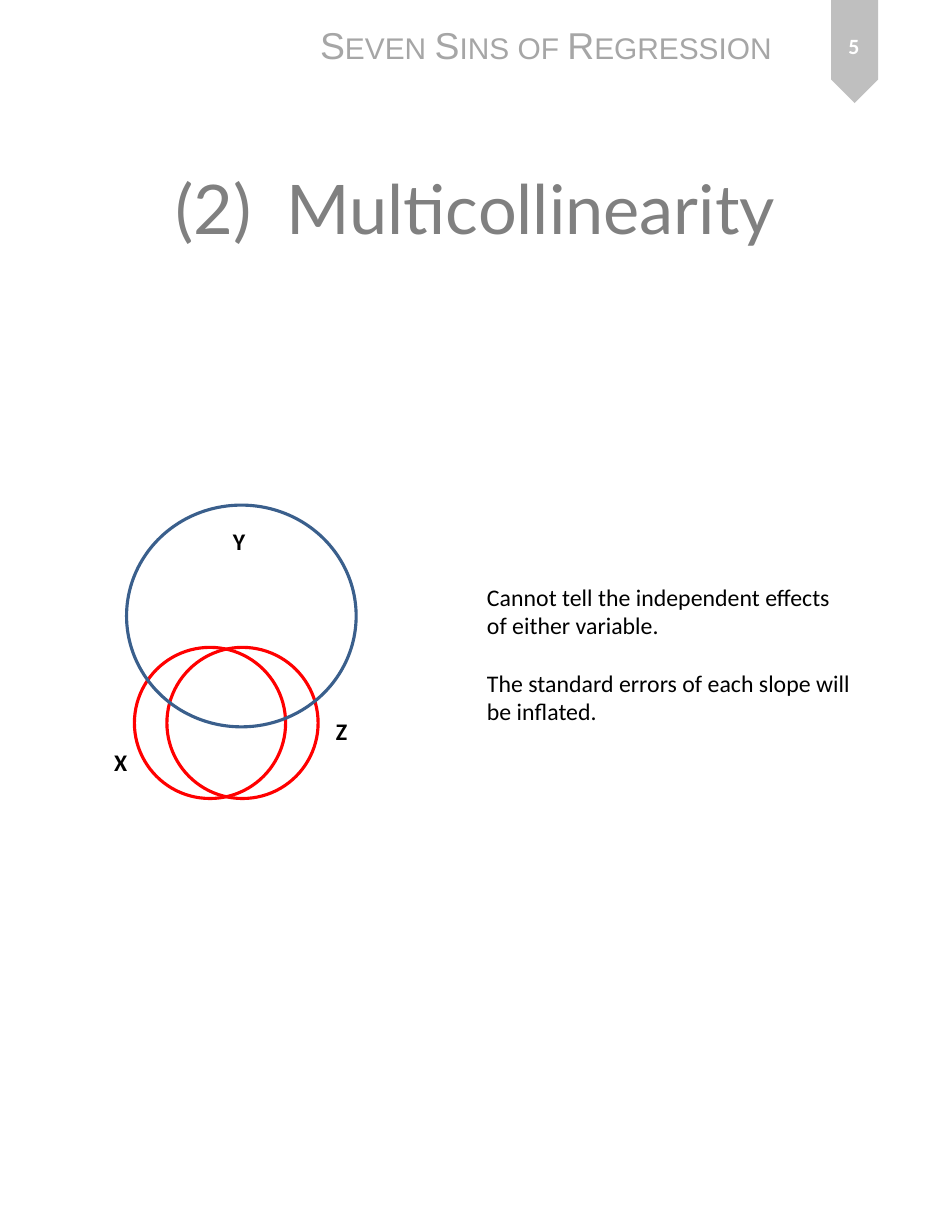
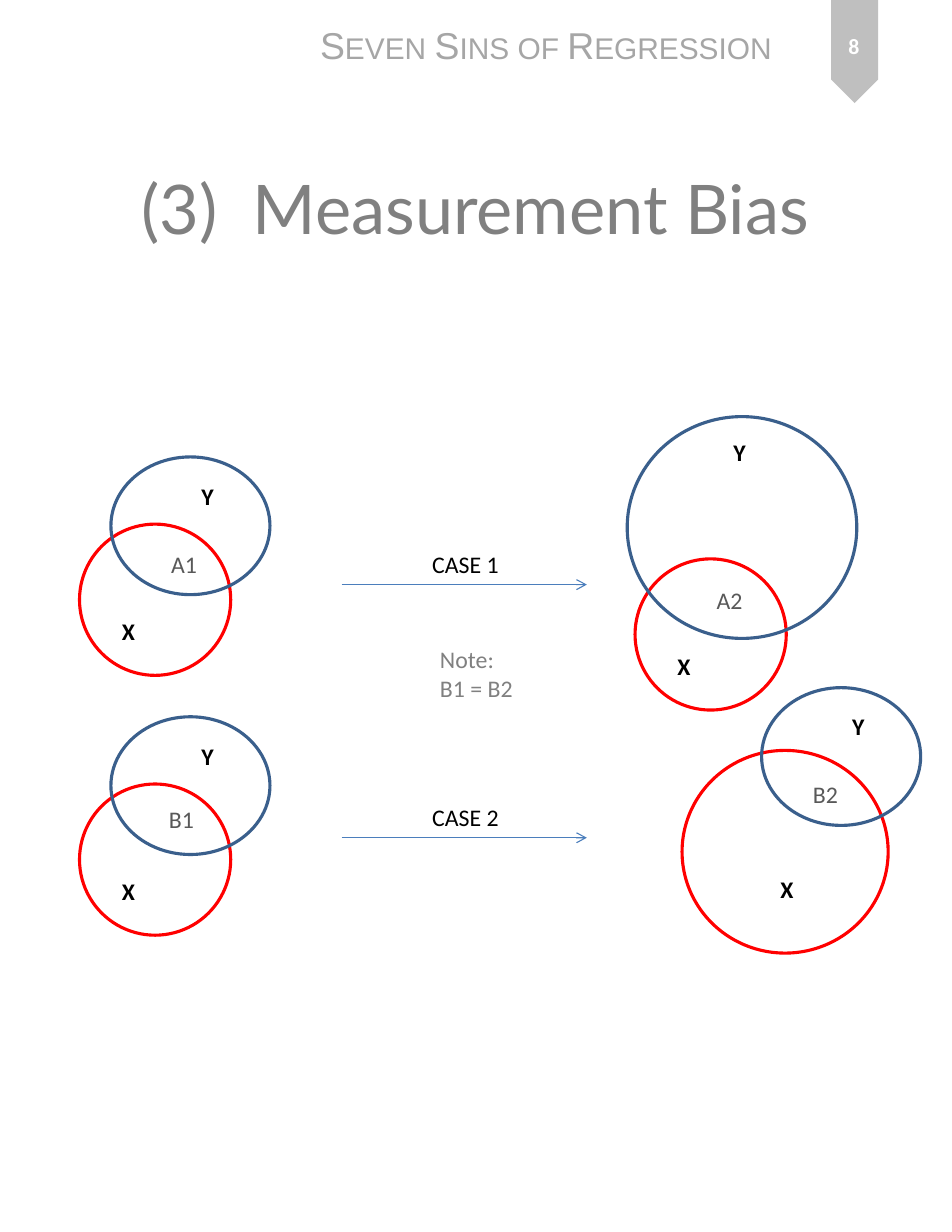
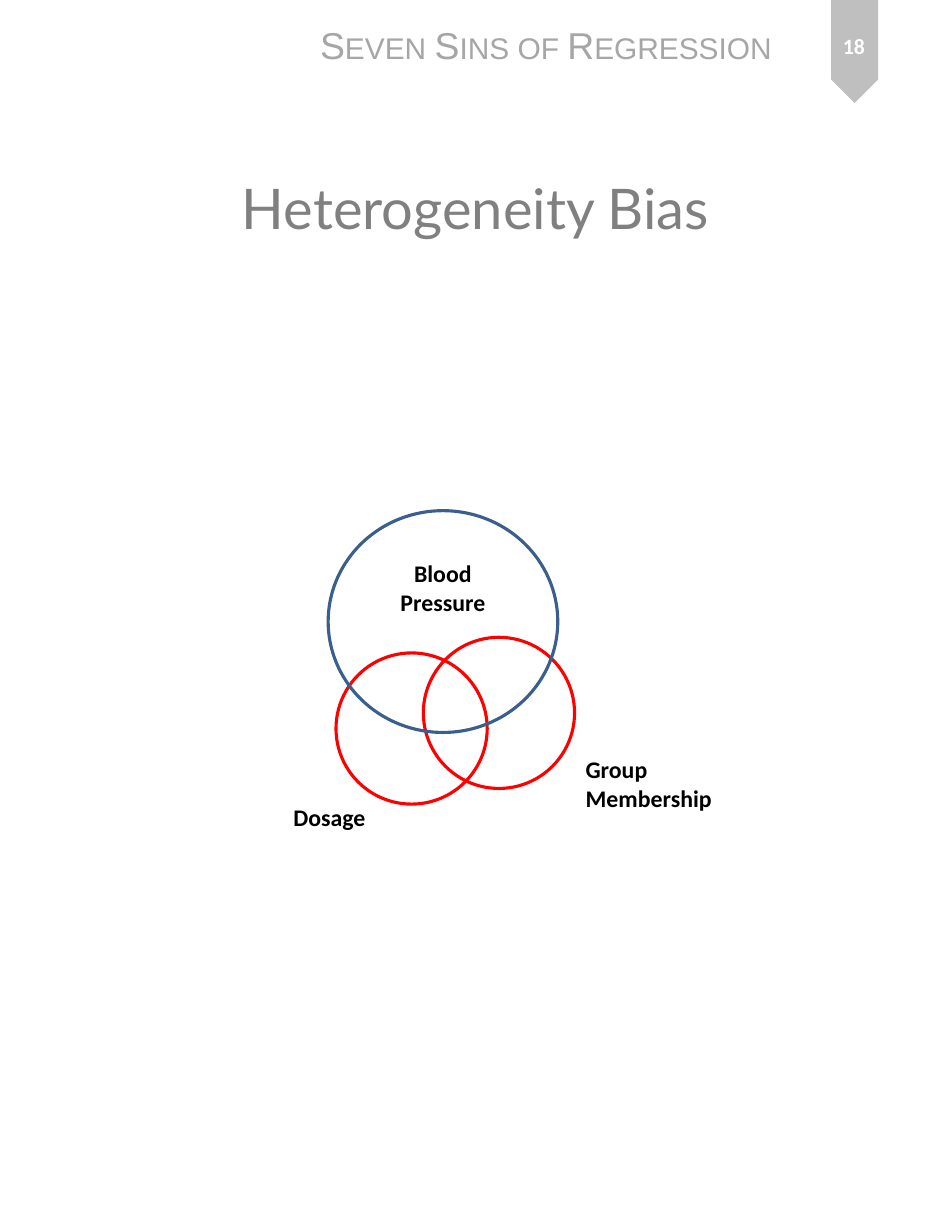
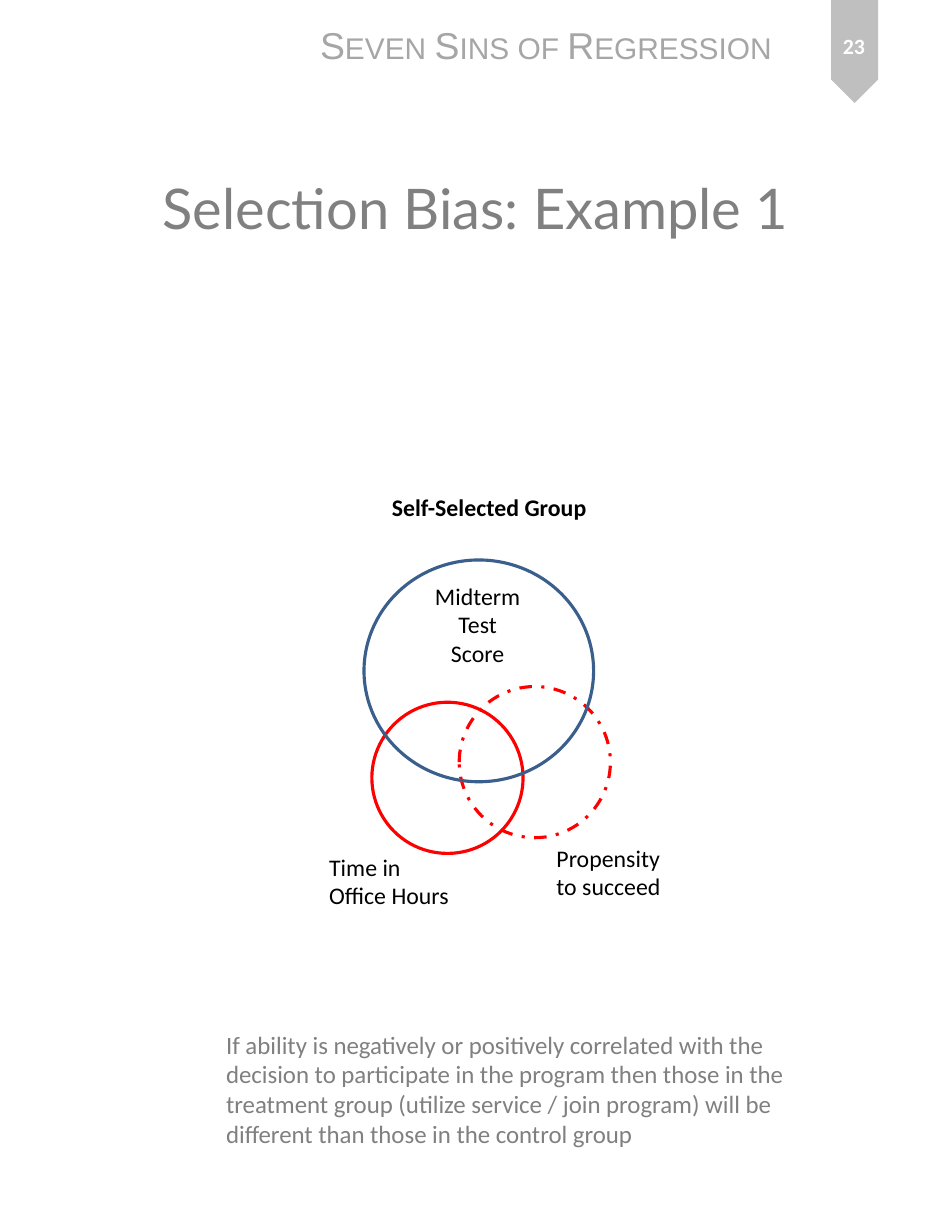
from copy import deepcopy

from lxml.etree import SubElement
from pptx import Presentation
from pptx.dml.color import RGBColor
from pptx.enum.dml import MSO_LINE
from pptx.enum.shapes import MSO_CONNECTOR, MSO_SHAPE
from pptx.enum.text import MSO_ANCHOR, MSO_AUTO_SIZE, PP_ALIGN
from pptx.oxml.ns import qn
from pptx.util import Inches, Pt

WIDE, TALL = 8.5, 11
RED, BLUE, ARROW = "FF0000", "3A5F8C", "4B7EBC"
BAND, WHITE = "BFBFBF", "FFFFFF"
LINE, PAD = 0.26, 0.1  # height of a text line, and of both insets

BODY = {"name": "Calibri", "size": 15.3, "color": "000000"}
BOLD = BODY | {"bold": True}
AREA = BODY | {"color": "595959"}
GRAY = BODY | {"color": "808080"}
NOTE = GRAY | {"size": 16}
HEAD = {"name": "Arial", "size": 24, "color": "A6A6A6"}
TITLE = {"name": "Lato", "size": 44, "color": "808080"}
SMALL = TITLE | {"size": 36}
PAGE = {"name": "Calibri", "size": 14, "color": WHITE, "bold": True}

# Circle sizes
DOT, BIG, MID, FAT = (1.35, 1.35), (2.05, 1.98), (1.42, 1.23), (1.84, 1.81)

# Red circles as (size, dx, dy, dashed), offset from the blue circle
LEFT = (DOT, 0.07, 1.27, False)
NEAR = (DOT, 0.36, 1.27, False)
SIDE = (DOT, 0.85, 1.13, False)
DASH = (DOT, 0.85, 1.13, True)
UNDER = (DOT, -0.28, 0.6, False)
LOW = (FAT, -0.71, 0.56, False)

# Labels as (paragraphs, dx, dy, width, format, centred), "\v" breaks a line
Y_BIG = (["Y"], 0.85, 0.14, 0.31, BOLD, False)
Y_MID = (["Y"], 0.71, 0.17, 0.31, BOLD, False)


def mark(text, dx, dy, style=BOLD, width=0.32):
    return [text], dx, dy, width, style, False


# Diagrams as (blue size, x, y, red circles, labels)
SLIDES = [
    {
        "page": "5", "title": "(2)  Multicollinearity", "style": TITLE,
        "venns": [(BIG, 1.13, 4.51, [LEFT, NEAR], [
            Y_BIG, mark("Z", 1.77, 1.84), mark("X", -0.21, 2.12)])],
        "texts": [([
            "Cannot tell the independent effects\vof either variable.",
            "The standard errors of each slope will\vbe inflated."],
            4.25, 5.15, 3.47, BODY, False)],
        "gap": 18.7,
    },
    {
        "page": "8", "title": "(3)  Measurement Bias", "style": TITLE,
        "venns": [
            (BIG, 5.6, 3.72, [LEFT], [
                Y_BIG, mark("X", 0.35, 2.05), mark("A2", 0.7, 1.46, AREA, 0.44)]),
            (MID, 0.99, 4.08, [UNDER], [
                Y_MID, mark("X", 0, 1.38), mark("A1", 0.44, 0.78, AREA, 0.44)]),
            (MID, 0.99, 6.4, [UNDER], [
                Y_MID, mark("X", 0, 1.38), mark("B1", 0.42, 0.74, AREA, 0.43)]),
            (MID, 6.8, 6.14, [LOW], [
                Y_MID, mark("X", 0.07, 1.62), mark("B2", 0.36, 0.77, AREA, 0.43)]),
        ],
        "arrows": [("CASE 1", 5.22), ("CASE 2", 7.48)],
        "texts": [(["Note:", "B1 = B2"], 3.83, 5.71, 0.86, GRAY, False)],
    },
    {
        "page": "18", "title": "Heterogeneity Bias", "style": SMALL,
        "venns": [(BIG, 2.93, 4.56, [LEFT, SIDE], [
            (["Blood\vPressure"], 0.54, 0.38, 0.97, BOLD, True),
            mark("Group\vMembership", 2.2, 2.13, BOLD, 1.34),
            mark("Dosage", -0.41, 2.56, BOLD, 0.85)])],
    },
    {
        "page": "23", "title": "Selection Bias: Example 1", "style": SMALL,
        "venns": [(BIG, 3.25, 5, [LEFT, DASH], [
            (["Midterm", "Test", "Score"], 0.53, 0.14, 0.97, BODY, True),
            mark("Propensity\vto succeed", 1.62, 2.48, BODY, 1.15),
            mark("Time in\vOffice Hours", -0.41, 2.56, BODY, 1.28),
            mark("Self-Selected Group", 0.15, -0.65, BOLD, 1.96)])],
        "note": "If ability is negatively or positively correlated with the "
                "decision to participate in the program then those in the "
                "treatment group (utilize service / join program) will be "
                "different than those in the control group",
    },
]


def paint(item, color):
    """Give a fill, or the colour of a line or font, a hex colour."""
    item.rgb = RGBColor.from_string(color)


def style_runs(para, style):
    for run in para.runs:
        for key, value in style.items():
            if key == "color":
                paint(run.font.color, value)
            else:
                setattr(run.font, key, Pt(value) if key == "size" else value)
    for br in para._p.findall(qn("a:br")):
        br.append(deepcopy(para.runs[0]._r.rPr))


def write(slide, paras, box, style, center=False, wrap=False, middle=False, gap=0):
    shape = slide.shapes.add_textbox(*map(Inches, box))
    frame = shape.text_frame
    frame.word_wrap = wrap
    if middle:
        frame.vertical_anchor = MSO_ANCHOR.MIDDLE
    else:
        frame.auto_size = MSO_AUTO_SIZE.SHAPE_TO_FIT_TEXT
    for i, text in enumerate(paras):
        para = frame.add_paragraph() if i else frame.paragraphs[0]
        para.text = text
        para.alignment = PP_ALIGN.CENTER if center else PP_ALIGN.LEFT
        if i and gap:
            para.space_before = Pt(gap)
        style_runs(para, style)
    return frame


def label(slide, item, x=0, y=0, gap=0):
    paras, dx, dy, width, style, center = item
    lines = sum(1 + p.count("\v") for p in paras) + (1 if gap else 0)
    box = x + dx, y + dy, width, lines * LINE + PAD
    write(slide, paras, box, style, center, gap=gap)


def circle(slide, size, x, y, color, dashed=False):
    ring = slide.shapes.add_shape(MSO_SHAPE.OVAL, *map(Inches, (x, y, *size)))
    ring.shadow.inherit = False
    ring.fill.background()
    ring.line.width = Pt(2)
    paint(ring.line.color, color)
    if dashed:
        ring.line.dash_style = MSO_LINE.DASH_DOT


def venn(slide, size, x, y, reds, labels):
    for red, dx, dy, dashed in reds:
        circle(slide, red, x + dx, y + dy, RED, dashed)
    circle(slide, size, x, y, BLUE)
    for item in labels:
        label(slide, item, x, y)


def arrow(slide, text, y):
    line = slide.shapes.add_connector(
        MSO_CONNECTOR.STRAIGHT, *map(Inches, (3.05, y, 5.24, y)))
    line.line.width = Pt(0.75)
    paint(line.line.color, ARROW)
    SubElement(line.line._get_or_add_ln(), qn("a:tailEnd"), type="arrow")
    SubElement(line._element.spPr, qn("a:effectLst"))
    label(slide, mark(text, 3.76, y - 0.36, BODY, 0.8))


def frame_page(slide, page, title, style):
    """Draw the ribbon, running head, title and page number."""
    tag = slide.shapes.add_shape(
        MSO_SHAPE.PENTAGON, *map(Inches, (7.17, 0.25, 0.92, 0.42)))
    tag.rotation = 90
    tag.shadow.inherit = False
    tag.fill.solid()
    paint(tag.fill.fore_color, BAND)
    tag.line.fill.background()
    head = write(slide, ["Seven Sins of Regression"], (2.76, 0.15, 4.32, 0.5), HEAD)
    head.paragraphs[0].runs[0]._r.rPr.set("cap", "small")
    write(slide, [title], (0.42, 0.93, 0.9 * WIDE, TALL / 6), style, True, True, True)
    write(slide, [page], (7.29, 0.11, 0.67, 0.59), PAGE, True, True, True)


def main():
    deck = Presentation()
    deck.slide_width, deck.slide_height = Inches(WIDE), Inches(TALL)
    for data in SLIDES:
        slide = deck.slides.add_slide(deck.slide_layouts[6])
        frame_page(slide, data["page"], data["title"], data["style"])
        for item in data["venns"]:
            venn(slide, *item)
        for item in data.get("arrows", []):
            arrow(slide, *item)
        for item in data.get("texts", []):
            label(slide, item, gap=data.get("gap", 0))
        if "note" in data:
            write(slide, [data["note"]], (1.92, 9.14, 5.21, 1.18), NOTE, wrap=True)
    deck.save("out.pptx")


if __name__ == "__main__":
    main()
